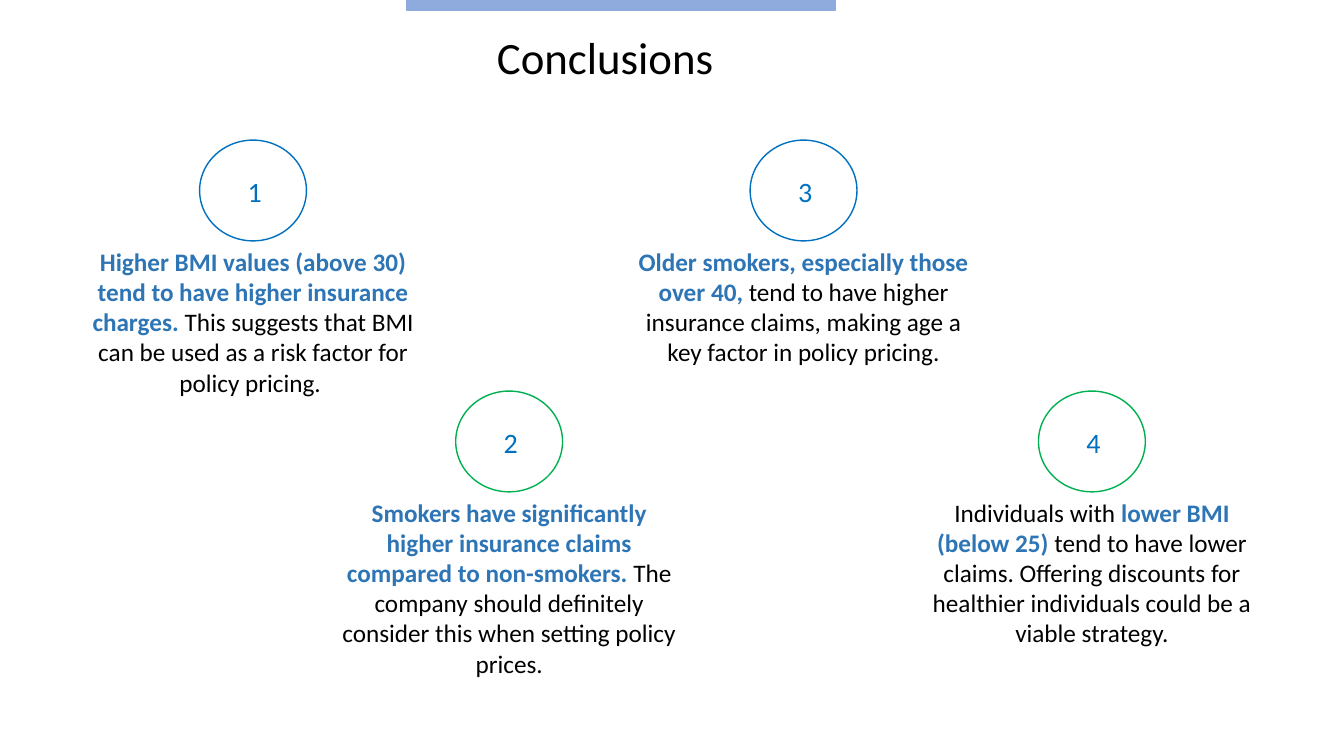
"""Build the Conclusions slide: four numbered findings in two staggered rows."""
from pptx import Presentation
from pptx.dml.color import RGBColor
from pptx.enum.shapes import MSO_SHAPE as Shape
from pptx.enum.text import MSO_AUTO_SIZE as AutoSize, PP_ALIGN as Align
from pptx.util import Inches, Pt

TITLE = "Conclusions"
FINDINGS = [
    {"center": 2.51, "row": 0, "lines": 5, "runs": [
        ("Higher BMI values (above 30) tend to have higher insurance charges.", True),
        (" This suggests that BMI can be used as a risk factor for policy pricing. ", False)]},
    {"center": 5.05, "row": 1, "lines": 6, "runs": [
        ("Smokers have significantly higher insurance claims compared to non-smokers. ", True),
        ("The company should definitely consider this when setting policy prices.", False)]},
    {"center": 7.97, "row": 0, "lines": 4, "runs": [
        ("Older smokers, especially those over 40,", True),
        (" tend to have higher insurance claims, making age a key factor in policy pricing.", False)]},
    {"center": 10.83, "row": 1, "lines": 5, "runs": [
        ("Individuals with ", False),
        ("lower BMI (below 25) ", True),
        ("tend to have lower claims. Offering discounts for healthier individuals "
         "could be a viable strategy.", False)]},
]
THEME = {
    "font": "Calibri", "title": 32, "number": 20, "body": 18,
    "bar": "8FAADC", "text": "000000", "key": "2E75B6", "digit": "0070C0",
    "rings": ["0070C0", "00B050"],
}
ROW_TOPS = [1.39, 3.88]
RING_W, RING_H = 1.06, 1.0
NUMBER_W, NUMBER_H, NUMBER_DROP = 0.43, 0.44, 0.29
BODY_W, LINE_H, PADDING = 3.52, 0.3, 0.1


def color(name):
    return RGBColor.from_string(name)


def add_shape(shapes, kind, box, line, fill=None):
    sp = shapes.add_shape(kind, *map(Inches, box))
    sp.shadow.inherit = False
    if fill:
        sp.fill.solid()
        sp.fill.fore_color.rgb = color(fill)
    else:
        sp.fill.background()
    sp.line.color.rgb = color(line)
    sp.line.width = Pt(1)


def add_text(shapes, box, runs, size, align=Align.LEFT, wrap=True):
    tf = shapes.add_textbox(*map(Inches, box)).text_frame
    tf.word_wrap = wrap
    tf.auto_size = AutoSize.SHAPE_TO_FIT_TEXT
    p = tf.paragraphs[0]
    p.alignment = align
    for text, bold, ink in runs:
        r = p.add_run()
        r.text = text
        r.font.name = THEME["font"]
        r.font.size = Pt(size)
        r.font.bold = bold
        r.font.color.rgb = color(ink)


def add_finding(s, number, finding):
    center, row = finding["center"], finding["row"]
    top = ROW_TOPS[row]
    badge = s.shapes.add_group_shape().shapes
    add_shape(badge, Shape.OVAL, (center - RING_W / 2, top, RING_W, RING_H),
              THEME["rings"][row])
    add_text(badge, (center - NUMBER_W / 2, top + NUMBER_DROP, NUMBER_W, NUMBER_H),
             [(f" {number}", False, THEME["digit"])], THEME["number"])
    runs = [(text, key, THEME["key" if key else "text"]) for text, key in finding["runs"]]
    height = PADDING + LINE_H * finding["lines"]
    add_text(s.shapes, (center - BODY_W / 2, top + RING_H, BODY_W, height),
             runs, THEME["body"], Align.CENTER)


def main():
    prs = Presentation()
    prs.slide_width, prs.slide_height = Inches(13.33), Inches(7.5)
    s = prs.slides.add_slide(prs.slide_layouts[6])
    add_shape(s.shapes, Shape.RECTANGLE, (4.03, 0, 4.26, 0.1), THEME["bar"], THEME["bar"])
    add_text(s.shapes, (4.83, 0.25, 2.65, 0.64),
             [(TITLE, False, THEME["text"])], THEME["title"])
    for number, finding in enumerate(FINDINGS, 1):
        add_finding(s, number, finding)
    prs.save("out.pptx")


if __name__ == "__main__":
    main()
